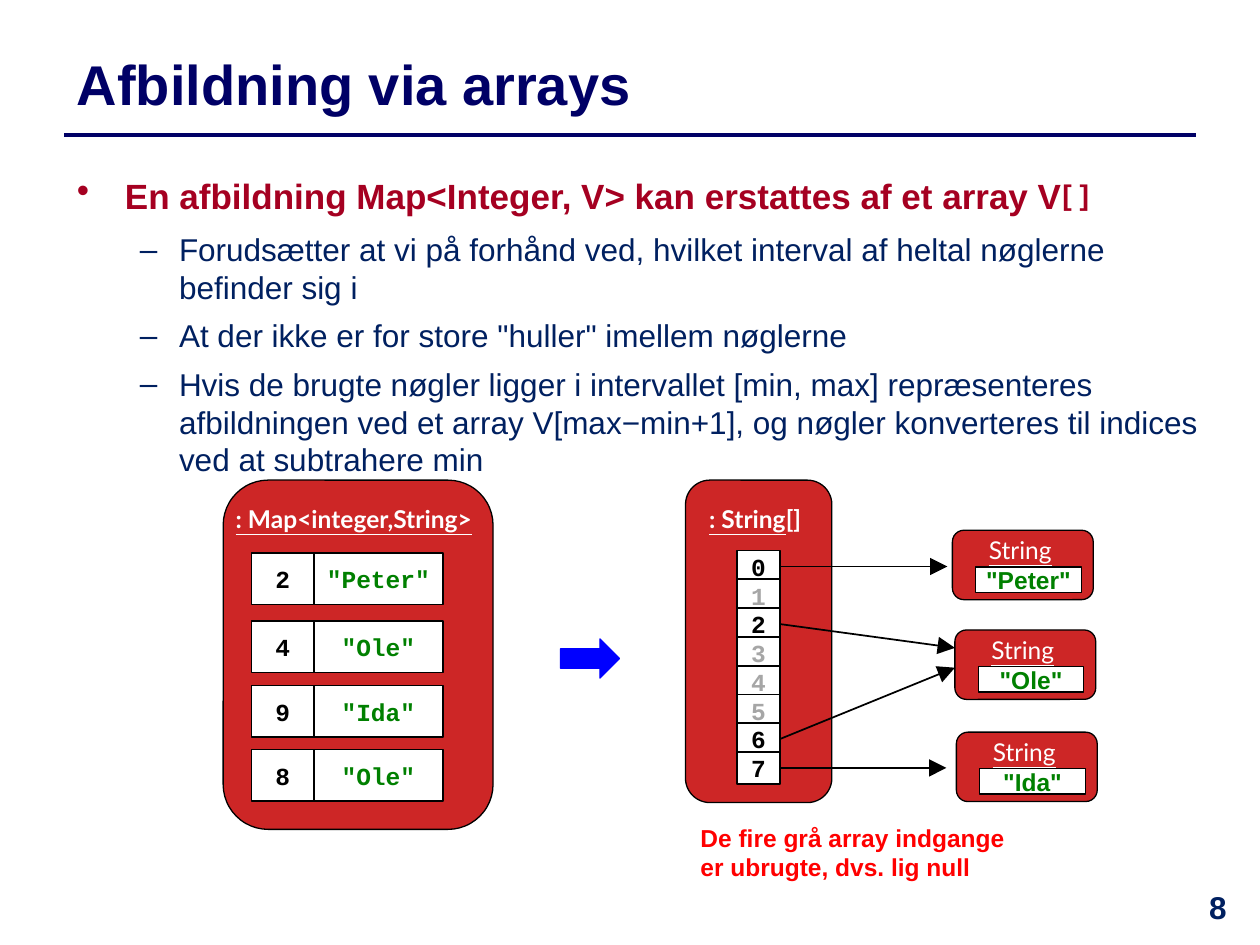
from lxml.etree import SubElement
from pptx import Presentation
from pptx.dml.color import RGBColor
from pptx.enum.shapes import MSO_CONNECTOR as Link, MSO_SHAPE as Kind
from pptx.enum.text import MSO_ANCHOR as Anchor, PP_ALIGN as Align
from pptx.oxml.ns import qn
from pptx.util import Cm, Pt

NAVY = RGBColor(0x00, 0x00, 0x66)
INK = RGBColor(0x00, 0x20, 0x60)
CRIMSON = RGBColor(0xA5, 0x00, 0x21)
BRICK = RGBColor(0xCD, 0x26, 0x26)
RED = RGBColor(0xFF, 0x00, 0x00)
GREEN = RGBColor(0x00, 0x80, 0x00)
BLUE = RGBColor(0x00, 0x00, 0xFF)
GREY = RGBColor(0xA6, 0xA6, 0xA6)
BLACK = RGBColor(0x00, 0x00, 0x00)
WHITE = RGBColor(0xFF, 0xFF, 0xFF)


def write(para, text, size=14, color=BLACK, font="Arial", bold=True, underline=None, align=None):
    if align is not None:
        para.alignment = align
    span = para.add_run()
    span.text = text
    span.font.name = font
    span.font.size = Pt(size)
    span.font.bold = bold
    span.font.underline = underline
    span.font.color.rgb = color
    return span


def add_box(shapes, place, kind=None, fill=WHITE, line=BLACK, weight=0.75, anchor=Anchor.TOP):
    lengths = [Cm(length) for length in place]
    if kind is None:
        box = shapes.add_textbox(*lengths)
    else:
        box = shapes.add_shape(kind, *lengths)
        box.shadow.inherit = False
        box.fill.solid()
        box.fill.fore_color.rgb = fill
        box.line.color.rgb = line
        box.line.width = Pt(weight)
    box.text_frame.word_wrap = kind is None
    box.text_frame.vertical_anchor = anchor
    return box


deck = Presentation()
deck.slide_width = Cm(25.4)
deck.slide_height = Cm(19.05)
page = deck.slides.add_slide(deck.slide_layouts[6])

rule = page.shapes.add_connector(Link.STRAIGHT, Cm(1.3), Cm(2.72), Cm(24.1), Cm(2.72))
rule.line.color.rgb = NAVY
rule.line.width = Pt(2)
SubElement(rule._element.spPr, qn("a:effectLst"))

title = add_box(page.shapes, (1.3, 0.72, 23.8, 1.9), anchor=Anchor.MIDDLE)
write(title.text_frame.paragraphs[0], "Afbildning via arrays", size=32, color=NAVY)

number = add_box(page.shapes, (23.7, 17.78, 1.7, 1.27))
write(number.text_frame.paragraphs[0], "8", size=18, color=INK, align=Align.CENTER)

body = add_box(page.shapes, (1.3, 3.12, 23.6, 6.86)).text_frame
points = [
    ("•", 0.97, -0.97, "En afbildning Map<Integer, V> kan erstattes af et array V"),
    ("–", 2.06, -0.79, "Forudsætter at vi på forhånd ved, hvilket interval af heltal nøglerne befinder sig i"),
    ("–", 2.06, -0.79, "At der ikke er for store \"huller\" imellem nøglerne"),
    ("–", 2.06, -0.79, "Hvis de brugte nøgler ligger i intervallet [min, max] repræsenteres afbildningen "
     "ved et array V[max−min+1], og nøgler konverteres til indices ved at subtrahere min"),
]
for index, (bullet, margin, indent, text) in enumerate(points):
    para = body.add_paragraph() if index else body.paragraphs[0]
    layout = para._p.get_or_add_pPr()
    layout.set("marL", str(Cm(margin)))
    layout.set("indent", str(Cm(indent)))
    SubElement(layout, qn("a:buFont"), typeface="Arial")
    SubElement(layout, qn("a:buChar"), char=bullet)
    if index:
        para.space_before = Pt(6)
        write(para, text, size=18, color=INK, bold=False)
    else:
        write(para, text, size=20, color=CRIMSON)
        brackets = write(para, "[ ]", size=28, color=CRIMSON)
        brackets._r.get_or_add_rPr().set("baseline", "10000")

map_shapes = page.shapes.add_group_shape().shapes
add_box(map_shapes, (4.5, 9.68, 5.44, 7.04), Kind.ROUNDED_RECTANGLE, BRICK)
heading = add_box(map_shapes, (4.34, 10.03, 5.59, 0.84))
write(heading.text_frame.paragraphs[0], ": Map<integer,String>", color=WHITE, font="Lato",
      underline=True, align=Align.CENTER)
entries = [("2", "\"Peter\"", 11.15), ("4", "\"Ole\"", 12.52), ("9", "\"Ida\"", 13.82), ("8", "\"Ole\"", 15.11)]
for key, value, top in entries:
    for text, left, width, color in [(key, 5.07, 1.26, BLACK), (value, 6.33, 2.6, GREEN)]:
        cell = add_box(map_shapes, (left, top, width, 1.04), Kind.RECTANGLE, weight=1, anchor=Anchor.MIDDLE)
        write(cell.text_frame.paragraphs[0], text, color=color, font="Courier New", align=Align.CENTER)

array_shapes = page.shapes.add_group_shape().shapes
add_box(array_shapes, (13.82, 9.68, 2.95, 6.5), Kind.ROUNDED_RECTANGLE, BRICK)
heading = add_box(array_shapes, (13.69, 10.03, 3.07, 0.84)).text_frame.paragraphs[0]
write(heading, ": String", color=WHITE, font="Lato", underline=True, align=Align.CENTER)
write(heading, "[]", color=WHITE, font="Lato")

slots = []
for index in range(8):
    slot = add_box(array_shapes, (14.86, 11.1 + 0.58 * index, 0.86, 0.64), Kind.RECTANGLE,
                   weight=1, anchor=Anchor.MIDDLE)
    write(slot.text_frame.paragraphs[0], str(index), color=GREY if index in (1, 3, 4, 5) else BLACK,
          font="Courier New", align=Align.CENTER)
    slots.append(slot)

for text, left, top in [("\"Peter\"", 19.2, 10.69), ("\"Ole\"", 19.25, 12.7), ("\"Ida\"", 19.28, 14.76)]:
    add_box(array_shapes, (left, top, 2.84, 1.4), Kind.ROUNDED_RECTANGLE, BRICK)
    label = add_box(array_shapes, (left + 0.34, top - 0.03, 2.06, 0.53))
    write(label.text_frame.paragraphs[0], "String", color=WHITE, font="Lato", bold=False,
          underline=True, align=Align.CENTER)
    value = add_box(array_shapes, (left + 0.47, top + 0.74, 2.13, 0.51), Kind.RECTANGLE, anchor=Anchor.MIDDLE)
    write(value.text_frame.paragraphs[0], text, color=GREEN, align=Align.CENTER)

for index, right, bottom in [(0, 19.1, 11.42), (7, 19.08, 15.48), (6, 19.25, 13.46), (2, 19.25, 13.06)]:
    arrow = array_shapes.add_connector(Link.STRAIGHT, Cm(15.72), Cm(bottom), Cm(right), Cm(bottom))
    arrow.begin_connect(slots[index], 3)
    arrow.line.color.rgb = BLACK
    arrow.line.width = Pt(1)
    SubElement(arrow.line._get_or_add_ln(), qn("a:tailEnd"), type="triangle", w="lg", len="lg")
    SubElement(arrow._element.spPr, qn("a:effectLst"))

remark = add_box(page.shapes, (13.87, 16.46, 7.1, 1.45))
write(remark.text_frame.paragraphs[0], "De fire grå array indgange er ubrugte, dvs. lig null", color=RED)

add_box(page.shapes, (11.3, 12.88, 1.19, 0.79), Kind.RIGHT_ARROW, BLUE, BLUE)

deck.save("out.pptx")
